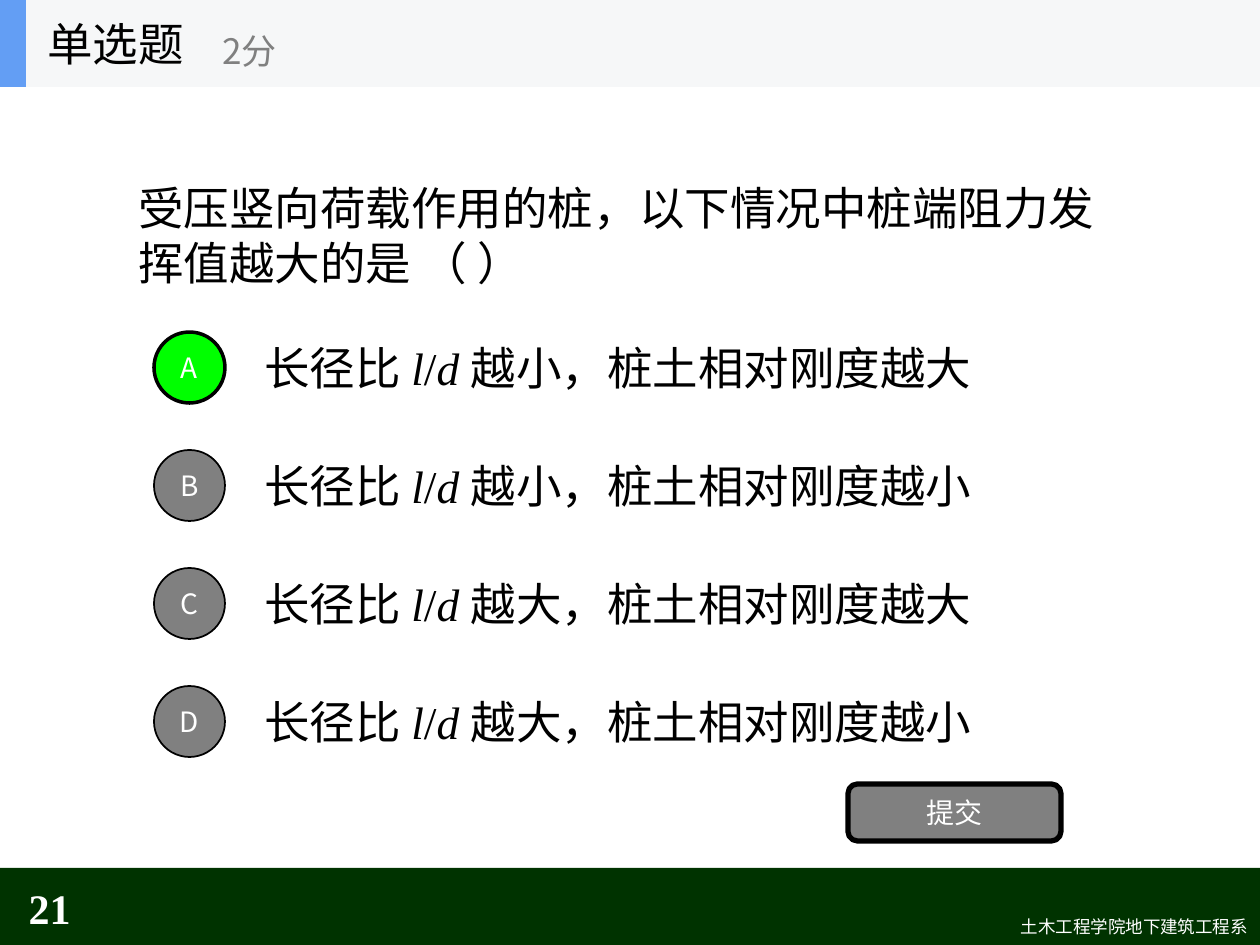
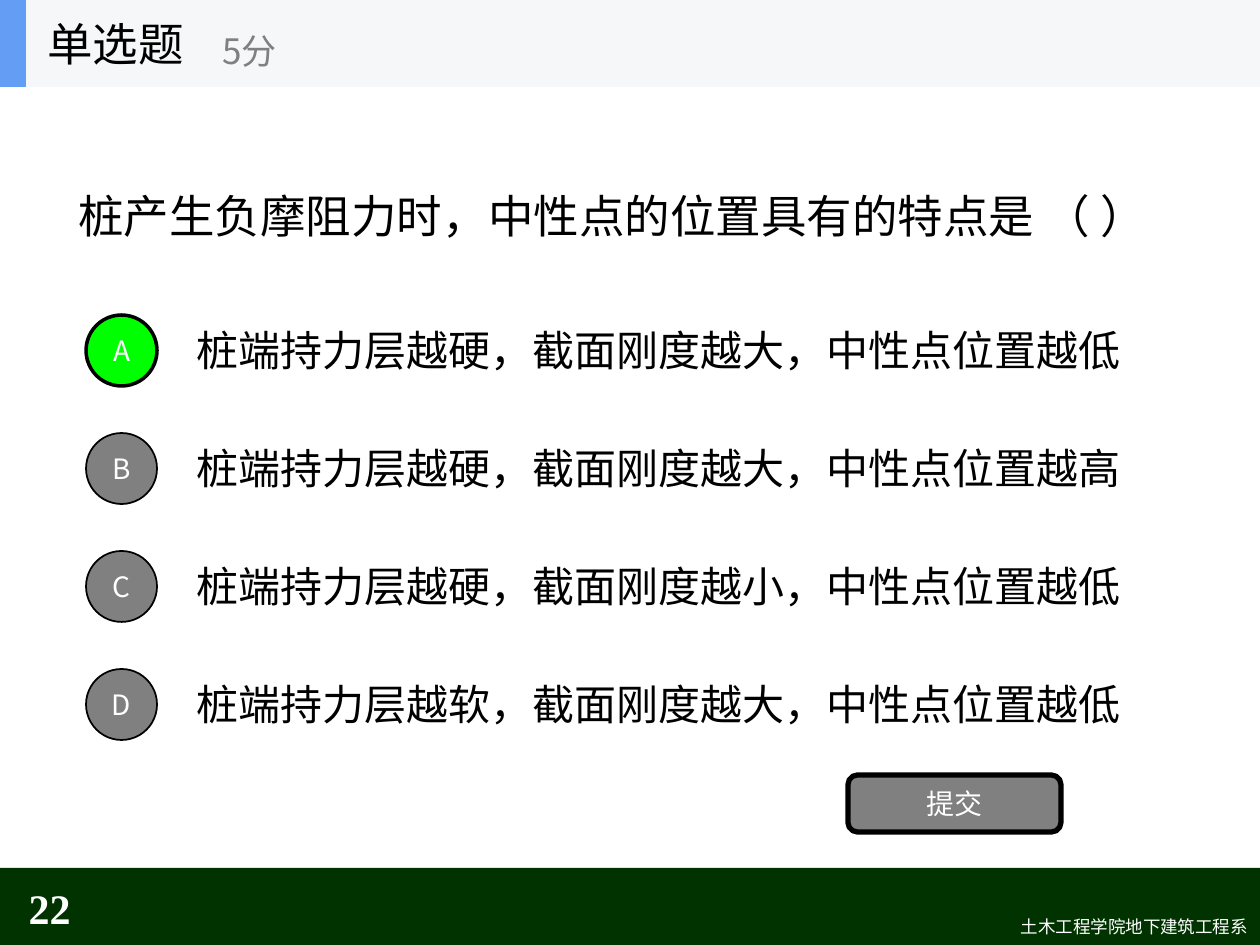
from dataclasses import dataclass

from lxml import etree
from pptx import Presentation
from pptx import util as u
from pptx.dml.color import RGBColor
from pptx.enum import shapes, text
from pptx.oxml.ns import qn

# Shared scale, fonts and colours
PX = u.Inches(1) / 126
WIDTH, HEIGHT = 1260, 945
CJK, SERIF = "Noto Sans CJK SC", "Times New Roman"
BLACK, WHITE, GRAY = "000000", "FFFFFF", "808080"
GREEN, FOOTER, HEADER, ACCENT = "00FF00", "003300", "F6F7F8", "639EF4"
LEFT, CENTER, RIGHT = text.PP_ALIGN.LEFT, text.PP_ALIGN.CENTER, text.PP_ALIGN.RIGHT
TOP, MIDDLE = text.MSO_ANCHOR.TOP, text.MSO_ANCHOR.MIDDLE
RECT, OVAL = shapes.MSO_SHAPE.RECTANGLE, shapes.MSO_SHAPE.OVAL
ROUNDED = shapes.MSO_SHAPE.ROUNDED_RECTANGLE

# Answer rows
ROW_PITCH, ROW_HEIGHT, BADGE = 118, 88, 71
FIRST_NUMBER = 21


@dataclass(frozen=True)
class Box:
    x: int
    y: int
    w: int
    h: int

    def emu(self) -> list[int]:
        return [round(v * PX) for v in (self.x, self.y, self.w, self.h)]


@dataclass(frozen=True)
class Run:
    text: str
    font: str = CJK
    italic: bool = False


@dataclass(frozen=True)
class Style:
    size: int
    color: str = BLACK
    font: str = CJK
    bold: bool = False
    align: text.PP_ALIGN = LEFT
    anchor: text.MSO_ANCHOR = MIDDLE


@dataclass(frozen=True)
class Option:
    runs: list[Run]
    width: int


@dataclass(frozen=True)
class Question:
    points: str
    prompt: str
    prompt_box: Box
    options: list[Option]
    option_size: int
    option_x: int
    option_y: int
    badge_x: int
    submit_y: int


TITLE = Style(26)
POINTS = Style(20, GRAY)
LABEL = Style(16, WHITE, align=CENTER)
NUMBER = Style(24, WHITE, SERIF, True, RIGHT)
DEPARTMENT = Style(10, WHITE, align=RIGHT, anchor=TOP)


def rgb(color: str) -> RGBColor:
    return RGBColor.from_string(color)


def set_face(font, name: str) -> None:
    """Set the Latin and East Asian typefaces together."""
    font.name = name
    etree.SubElement(font._rPr, qn("a:ea")).set("typeface", name)


def write(tf, runs: list[Run], style: Style) -> None:
    tf.word_wrap = True
    tf.vertical_anchor = style.anchor
    p = tf.paragraphs[0]
    p.alignment = style.align
    p.font.size, p.font.bold = u.Pt(style.size), style.bold
    p.font.color.rgb = rgb(style.color)
    if len(runs) == 1:
        set_face(p.font, style.font)
    for run in runs:
        r = p.add_run()
        r.text = run.text
        if len(runs) > 1:
            r.font.italic = run.italic
            set_face(r.font, run.font)


def add_text(s, box: Box, runs: list[Run], style: Style) -> None:
    write(s.shapes.add_textbox(*box.emu()).text_frame, runs, style)


def add_block(s, kind, box: Box, fill: str, line: int = 0, label: str = "") -> None:
    sp = s.shapes.add_shape(kind, *box.emu())
    sp.shadow.inherit = False
    sp.fill.solid()
    sp.fill.fore_color.rgb = rgb(fill)
    if line:
        sp.line.color.rgb = rgb(BLACK)
        sp.line.width = u.Pt(line)
    else:
        sp.line.fill.background()
    if label:
        write(sp.text_frame, [Run(label)], LABEL)


def add_frame(s, number: int, points: str) -> None:
    # Footer
    add_block(s, RECT, Box(0, 868, WIDTH, HEIGHT - 868), FOOTER)
    add_text(s, Box(530, 910, 730, 34), [Run("土木工程学院地下建筑工程系")], DEPARTMENT)
    add_text(s, Box(0, 883, 83, 50), [Run(str(number))], NUMBER)
    # Header
    add_block(s, RECT, Box(0, 0, WIDTH, 87), HEADER)
    add_block(s, RECT, Box(0, 0, 26, 87), ACCENT)
    add_text(s, Box(35, 0, 262, 87), [Run("单选题")], TITLE)
    add_text(s, Box(210, 15, 315, 71), [Run(points)], POINTS)


def add_question(s, q: Question) -> None:
    add_text(s, q.prompt_box, [Run(q.prompt)], TITLE)
    for i, (letter, option) in enumerate(zip("ABCD", q.options)):
        y = q.option_y + i * ROW_PITCH
        add_text(s, Box(q.option_x, y, option.width, ROW_HEIGHT),
                 option.runs, Style(q.option_size))
        chosen = letter == "A"
        add_block(s, OVAL, Box(q.badge_x, y + 9, BADGE, BADGE),
                  GREEN if chosen else GRAY, 2 if chosen else 1, letter)
    add_block(s, ROUNDED, Box(848, q.submit_y, 213, 57), GRAY, 3, "提交")


def ratio_option(ratio: str, stiffness: str) -> Option:
    runs = [Run("长径比 "), Run("l", SERIF, True), Run("/", SERIF),
            Run("d ", SERIF, True), Run(f"越{ratio}，桩土相对刚度越{stiffness}")]
    return Option(runs, 882)


def neutral_option(layer: str, stiffness: str, place: str, width: int) -> Option:
    return Option([Run(f"桩端持力层越{layer}，截面刚度越{stiffness}，中性点位置越{place}")], width)


QUESTIONS = [
    Question(
        "2分", "受压竖向荷载作用的桩，以下情况中桩端阻力发挥值越大的是 （ ）",
        Box(126, 87, 1008, 295),
        [ratio_option(a, b) for a in "小大" for b in "大小"],
        option_size=26, option_x=252, option_y=323, badge_x=154, submit_y=784),
    Question(
        "5分", "桩产生负摩阻力时，中性点的位置具有的特点是 （ ）",
        Box(66, 68, 1116, 295),
        [neutral_option("硬", "大", "低", 990),
         neutral_option("硬", "大", "高", 950),
         neutral_option("硬", "小", "低", 970),
         neutral_option("软", "大", "低", 990)],
        option_size=24, option_x=184, option_y=306, badge_x=86, submit_y=775),
]


def main() -> None:
    prs = Presentation()
    prs.slide_width, prs.slide_height = round(WIDTH * PX), round(HEIGHT * PX)
    for number, q in enumerate(QUESTIONS, FIRST_NUMBER):
        s = prs.slides.add_slide(prs.slide_layouts[6])
        add_frame(s, number, q.points)
        add_question(s, q)
    prs.save("out.pptx")


if __name__ == "__main__":
    main()
